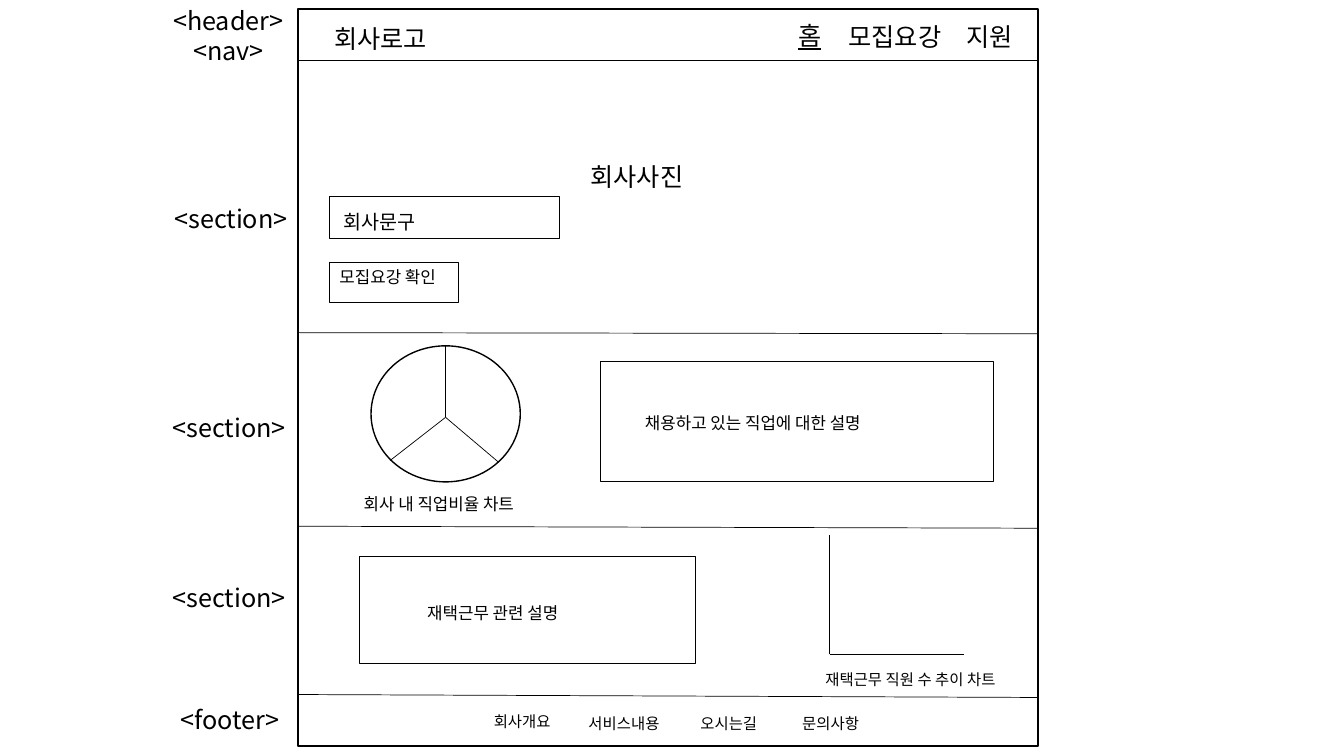
from dataclasses import dataclass
from itertools import pairwise

from lxml.etree import SubElement
from pptx import Presentation
from pptx.dml.color import RGBColor
from pptx.enum.shapes import MSO_CONNECTOR, MSO_SHAPE
from pptx.enum.text import MSO_ANCHOR, PP_ALIGN
from pptx.oxml.ns import qn
from pptx.shapes.autoshape import Shape
from pptx.util import Pt


@dataclass(frozen=True)
class Theme:
    """Colours, font, type sizes and line widths."""
    ink: RGBColor = RGBColor(0, 0, 0)
    paper: RGBColor = RGBColor(255, 255, 255)
    font: str = "Noto Sans CJK KR"
    large: int = 18
    medium: int = 14
    small: int = 12
    tiny: int = 11
    bold_line: float = 1
    box_line: float = 0.75
    rule_line: float = 0.5


THEME = Theme()


@dataclass(frozen=True)
class Label:
    """One line of text with its place, box width and size."""
    words: str
    left: float
    top: float
    width: float
    size: int = THEME.large
    underline: bool = False

    @property
    def height(self) -> float:
        """Line height plus the upper and lower insets."""
        return self.size * 1.2 + 7.2


@dataclass(frozen=True)
class Panel:
    """An outlined area of the page layout."""
    left: float
    top: float
    width: float
    height: float
    kind: MSO_SHAPE = MSO_SHAPE.RECTANGLE
    weight: float = THEME.box_line
    line: RGBColor = THEME.ink
    filled: bool = False


Point = tuple[float, float]

prs = Presentation()
prs.slide_width, prs.slide_height = Pt(960), Pt(540)
page = prs.slides.add_slide(prs.slide_layouts[6])


def write(holder: Shape, label: Label) -> None:
    """Put the label's words into a shape, top left."""
    frame = holder.text_frame
    frame.word_wrap = True
    frame.vertical_anchor = MSO_ANCHOR.TOP
    paragraph = frame.paragraphs[0]
    paragraph.alignment = PP_ALIGN.LEFT
    run = paragraph.add_run()
    run.text = label.words
    style = {"name": THEME.font, "size": Pt(label.size)}
    if label.underline:
        style["underline"] = True
    for attribute, value in style.items():
        setattr(run.font, attribute, value)
    run.font.color.rgb = THEME.ink
    SubElement(run.font._element, qn("a:ea"), typeface=THEME.font)


def draw_label(label: Label) -> None:
    """Draw a label in its own text box."""
    box = (label.left, label.top, label.width, label.height)
    write(page.shapes.add_textbox(*map(Pt, box)), label)


def draw_panel(panel: Panel) -> Shape:
    """Draw an outlined shape, white or empty inside."""
    box = (panel.left, panel.top, panel.width, panel.height)
    shape = page.shapes.add_shape(panel.kind, *map(Pt, box))
    shape.shadow.inherit = False
    if panel.filled:
        shape.fill.solid()
        shape.fill.fore_color.rgb = THEME.paper
    else:
        shape.fill.background()
    shape.line.color.rgb = panel.line
    shape.line.width = Pt(panel.weight)
    return shape


def draw_rule(start: Point, end: Point) -> None:
    """Draw a thin straight line."""
    rule = page.shapes.add_connector(MSO_CONNECTOR.STRAIGHT, *map(Pt, start + end))
    rule.line.color.rgb = THEME.ink
    rule.line.width = Pt(THEME.rule_line)
    SubElement(rule._element.spPr, qn("a:effectLst"))


PAGE_FRAME = Panel(213, 6.5, 528.5, 526.5, weight=THEME.bold_line, filled=True)
PIE = Panel(265, 247, 106.6, 97.2, MSO_SHAPE.OVAL, THEME.bold_line, filled=True)
PANELS = [
    PAGE_FRAME,
    PIE,
    Panel(235.4, 140.4, 164.2, 30.2),
    Panel(235.4, 187.2, 92.2, 28.8),
    Panel(429.1, 258.5, 280.8, 85.7),
    Panel(257, 397.4, 239.8, 76.3),
]

SECTION_BREAKS = [(43.2, 43.2), (237.6, 238.4), (375.9, 377.3), (496.1, 498.2)]
PIE_CENTRE = (318.3, 298.1)
PIE_CUTS = [(318.3, PIE.top), (278.6, 329), (355.7, 329.8)]
TREND_AXES = [(592.6, 382.3), (592.6, 467.3), (688.3, 467.3)]

TAGS = [
    Label("<header>", 116.6, 0, 98.6),
    Label("<nav>", 131, 21.6, 75.6),
    Label("<section>", 117.4, 141.8, 157.7),
    Label("<section>", 116, 290.9, 157.7),
    Label("<section>", 116, 412.6, 157.7),
    Label("<footer>", 121.7, 499.7, 99.4),
]
NAVIGATION = [
    Label("회사로고", 231.8, 13, 91.4),
    Label("홈", 563, 10.8, 39.6, underline=True),
    Label("모집요강", 599, 11.5, 91.4),
    Label("지원", 683.3, 11.5, 62.6),
]
CONTENT = [
    Label("회사사진", 414.7, 111.6, 90.7),
    Label("회사문구", 238.3, 146.2, 161.3, THEME.medium),
    Label("모집요강 확인", 235.4, 187.2, 138.2, THEME.small),
    Label("회사 내 직업비율 차트", 252.7, 349.2, 135.4, THEME.small),
    Label("재택근무 관련 설명", 298.1, 427, 121.7, THEME.small),
    Label("재택근무 직원 수 추이 차트", 582.5, 475.2, 152.6, THEME.tiny),
]
FOOTER_LINKS = [
    Label("회사개요", 345.6, 505.4, 59, THEME.tiny),
    Label("서비스내용", 413.3, 506.2, 72, THEME.tiny),
    Label("오시는길", 493.2, 506.2, 82, THEME.tiny),
    Label("문의사항", 565.9, 506.2, 59, THEME.tiny),
]
JOB_TEXT = Label("채용하고 있는 직업에 대한 설명", 453.6, 291.6, 229.7, THEME.small)

for panel in PANELS:
    draw_panel(panel)
for left_y, right_y in SECTION_BREAKS:
    draw_rule((PAGE_FRAME.left, left_y), (PAGE_FRAME.left + PAGE_FRAME.width, right_y))
for cut in PIE_CUTS:
    draw_rule(PIE_CENTRE, cut)
for start, end in pairwise(TREND_AXES):
    draw_rule(start, end)
for label in TAGS + NAVIGATION + CONTENT + FOOTER_LINKS:
    draw_label(label)
job_panel = Panel(JOB_TEXT.left, JOB_TEXT.top, JOB_TEXT.width, JOB_TEXT.height,
                  line=THEME.paper)
write(draw_panel(job_panel), JOB_TEXT)

prs.save("out.pptx")
